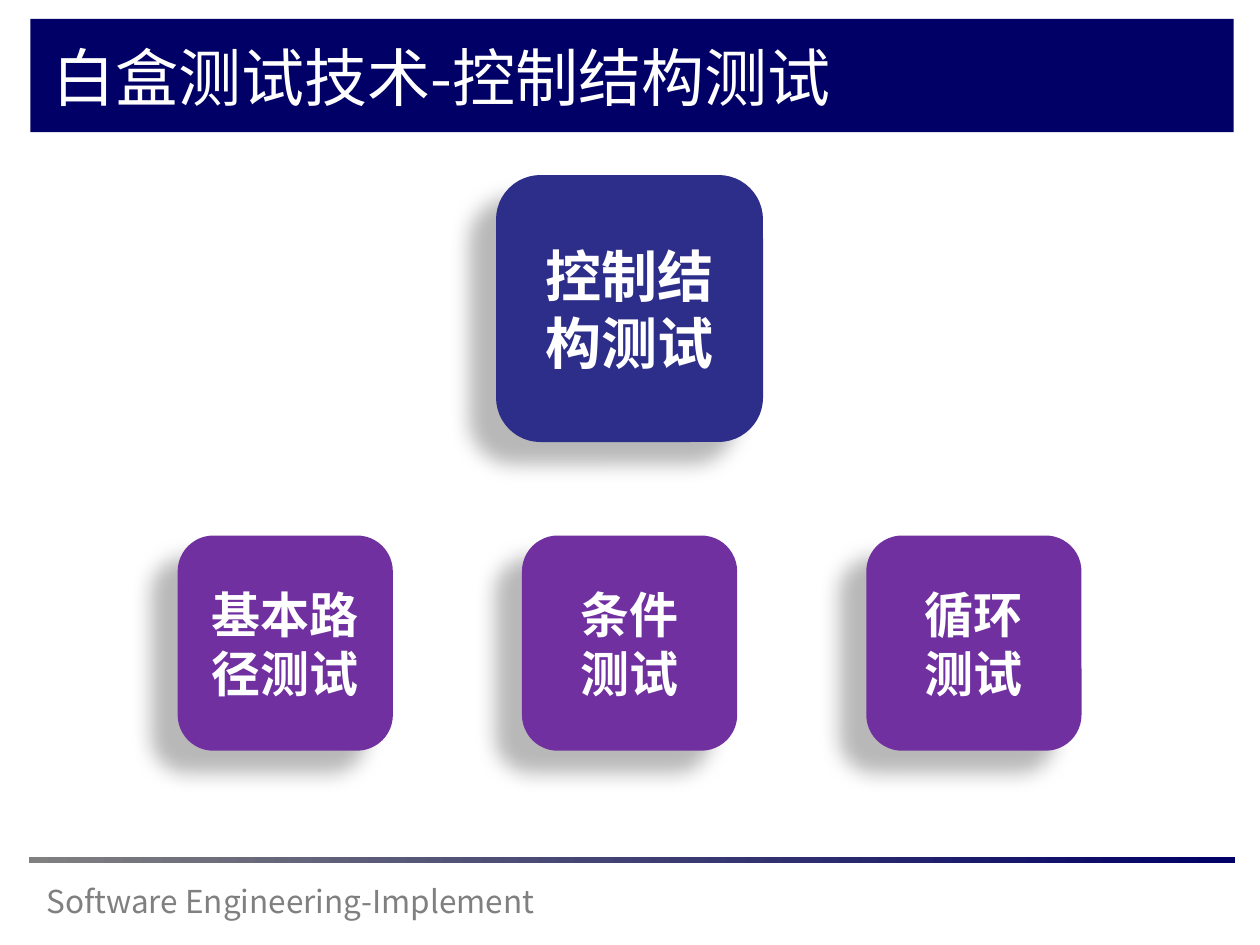
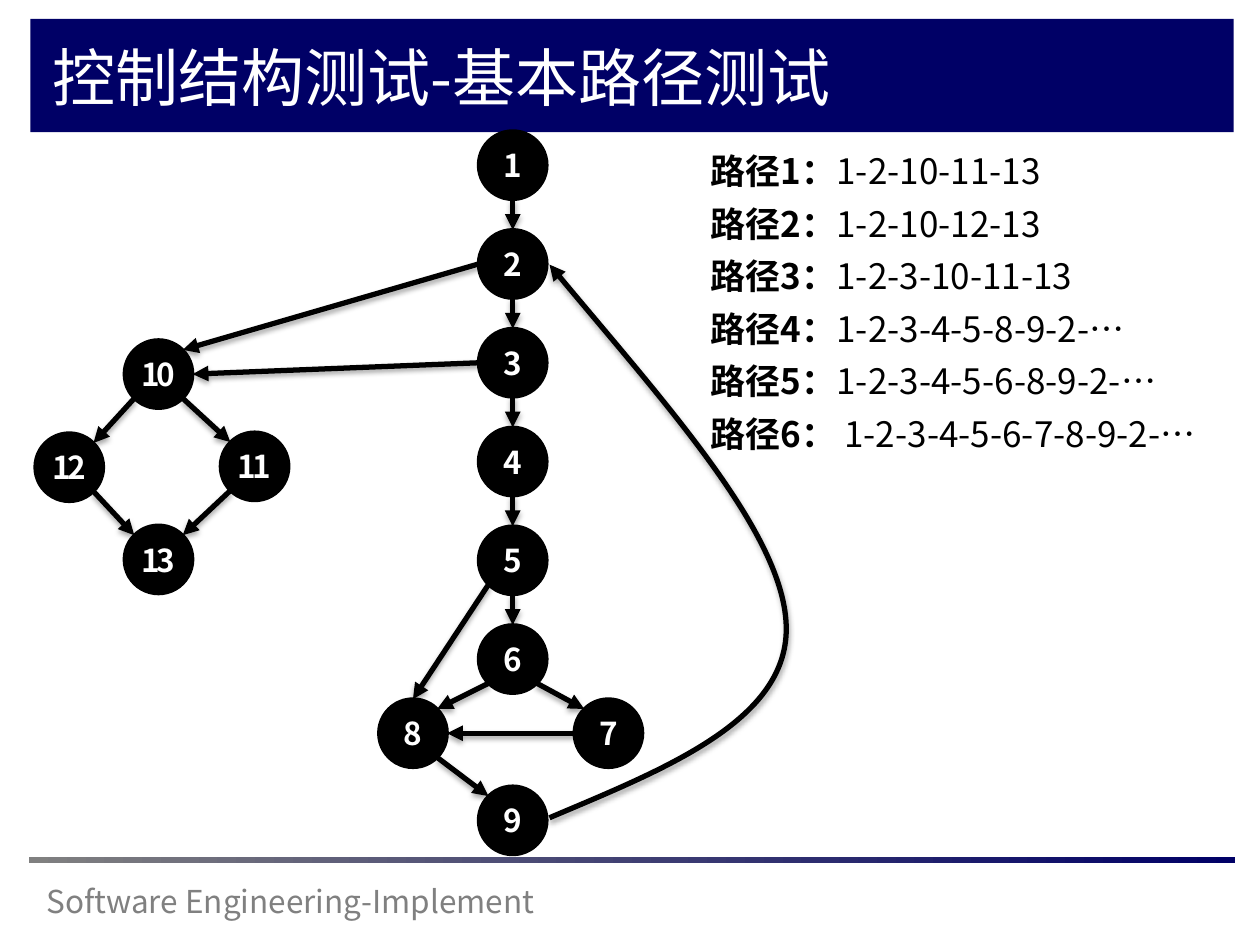
from lxml import etree
from pptx import Presentation
from pptx.dml.color import RGBColor
from pptx.enum.shapes import MSO_CONNECTOR, MSO_SHAPE
from pptx.enum.text import MSO_ANCHOR, PP_ALIGN
from pptx.oxml.ns import qn
from pptx.util import Pt

RECT, ROUND, OVAL = MSO_SHAPE.RECTANGLE, MSO_SHAPE.ROUNDED_RECTANGLE, MSO_SHAPE.OVAL
LINE = MSO_CONNECTOR.STRAIGHT
LEFT, CENTER = PP_ALIGN.LEFT, PP_ALIGN.CENTER
TOP, MIDDLE = MSO_ANCHOR.TOP, MSO_ANCHOR.MIDDLE

NAVY = RGBColor(0x00, 0x00, 0x66)
INDIGO = RGBColor(0x2D, 0x2D, 0x8A)
PURPLE = RGBColor(0x70, 0x30, 0xA0)
GRAY = RGBColor(0x80, 0x80, 0x80)
BLACK = RGBColor(0, 0, 0)
WHITE = RGBColor(0xFF, 0xFF, 0xFF)

FONT = "Noto Sans CJK SC"
# Opacity %, blur, distance, direction in degrees
TILE_SHADE = (28, 11.8, 19.7, 141)
EDGE_SHADE = (35, 3.1, 1.8, 90)

NODE = 39
STEM = 273
CENTERS = {i + 1: (STEM, 19.4 + 56.45 * i) for i in range(6)}
CENTERS |= {
    7: (327.7, 344), 8: (216, 344), 9: (STEM, 393.8),
    10: (70.6, 138.8), 11: (125.5, 191.5), 12: (19.6, 192), 13: (70.6, 244.7),
}
SIDES = {
    "n": (0, -1), "s": (0, 1), "w": (-1, 0), "e": (1, 0),
    "nw": (-0.71, -0.71), "ne": (0.71, -0.71),
    "sw": (-0.71, 0.71), "se": (0.71, 0.71),
}
EDGES = [(i, "s", i + 1, "n") for i in range(1, 6)] + [
    (10, "sw", 12, "ne"), (10, "se", 11, "nw"),
    (12, "se", 13, "nw"), (11, "sw", 13, "ne"),
    (2, "w", 10, "ne"), (3, "w", 10, "e"),
    (5, "sw", 8, "n"), (6, "sw", 8, "ne"), (6, "se", 7, "nw"),
    (7, "w", 8, "e"), (8, "se", 9, "nw"),
]
# Start point, then two cubic segments from node 9 back to node 2
LOOP = [
    (294, 392.3), (358.4, 365), (429.3, 337.6), (429.3, 284.4),
    (429.3, 231.7), (358.6, 154), (294, 76.2),
]
ROUTES = [
    "1-2-10-11-13", "1-2-10-12-13", "1-2-3-10-11-13", "1-2-3-4-5-8-9-2-…",
    "1-2-3-4-5-6-8-9-2-…", " 1-2-3-4-5-6-7-8-9-2-…",
]


def write(shape, paras, size, color, bold=False, align=LEFT, anchor=TOP,
          after=None, track=None, inset=None):
    """Fill a shape; each paragraph is a string or a list of (text, bold)."""
    frame = shape.text_frame
    frame.word_wrap = True
    frame.vertical_anchor = anchor
    if inset is not None:
        frame.margin_left = frame.margin_right = Pt(inset)
        frame.margin_top = frame.margin_bottom = Pt(inset)
    for i, parts in enumerate(paras):
        para = frame.add_paragraph() if i else frame.paragraphs[0]
        para.alignment = align
        if after is not None:
            para.space_after = Pt(after)
        for text, heavy in [(parts, bold)] if isinstance(parts, str) else parts:
            run = para.add_run()
            run.text = text
            font = run.font
            font.name, font.size, font.bold = FONT, Pt(size), heavy
            font.color.rgb = color
            props = run._r.get_or_add_rPr()
            etree.SubElement(props, qn("a:ea")).set("typeface", FONT)
            if track is not None:
                props.set("spc", str(track * 100))


def label(slide, box, paras, **style):
    write(slide.shapes.add_textbox(*map(Pt, box)), paras, **style)


def shade(shape, look=None):
    """Set the outer shadow, or none; call after fill and line are set."""
    effects = etree.SubElement(shape._element.spPr, qn("a:effectLst"))
    if look:
        alpha, blur, dist, angle = look
        outer = etree.SubElement(
            effects, qn("a:outerShdw"), blurRad=str(Pt(blur)), dist=str(Pt(dist)),
            dir=str(angle * 60000), algn="ctr", rotWithShape="0")
        tint = etree.SubElement(outer, qn("a:srgbClr"), val=str(BLACK))
        etree.SubElement(tint, qn("a:alpha"), val=str(alpha * 1000))


def block(slide, kind, box, fill=None, edge=None, look=None):
    shape = slide.shapes.add_shape(kind, *map(Pt, box))
    if fill is not None:
        shape.fill.solid()
        shape.fill.fore_color.rgb = fill
    if edge:
        shape.line.color.rgb = fill
        shape.line.width = Pt(edge)
    else:
        shape.line.fill.background()
    shade(shape, look)
    return shape


def arrow(shape):
    """Style a line or open outline as a black arrow."""
    shape.line.color.rgb = BLACK
    shape.line.width = Pt(3)
    etree.SubElement(shape.line._ln, qn("a:tailEnd"), type="triangle")
    shade(shape, EDGE_SHADE)


def base(deck, title):
    """Add a slide with title band, rule and footer."""
    slide = deck.slides.add_slide(deck.slide_layouts[6])
    block(slide, RECT, (17.3, 10.8, 687.6, 64.8), NAVY)
    label(slide, (19.4, 500.4, 372, 28.8), ["Software Engineering-Implement"],
          size=18, color=GRAY)
    rule = block(slide, RECT, (16.6, 489.6, 689, 3.6))
    rule.fill.gradient()
    rule.fill.gradient_angle = 0
    for stop, color, place in zip(rule.fill.gradient_stops, (GRAY, NAVY), (0, 1)):
        stop.color.rgb = color
        stop.position = place
    label(slide, (23, 18.7, 634.3, 53.3), [title], size=36, color=WHITE)
    return slide


def tile(slide, box, paras, fill, size):
    shape = block(slide, ROUND, box, fill, look=TILE_SHADE)
    write(shape, paras, size, WHITE, bold=True, align=CENTER, anchor=MIDDLE)


def tree(slide, box):
    """Root tile centred above an evenly spread row of tiles."""
    left, top, width, height = box
    root, leaf = 152.6, 123
    names = [["基本路径测试"], ["条件", "测试"], ["循环", "测试"]]
    step = (width - leaf) / (len(names) - 1)
    for i, name in enumerate(names):
        tile(slide, (left + i * step, top + height - leaf, leaf, leaf),
             name, PURPLE, 28)
    tile(slide, (left + (width - root) / 2, top, root, root),
         ["控制结构测试"], INDIGO, 32)


def loop(slide, left, top):
    points = [(Pt(left + x), Pt(top + y)) for x, y in LOOP]
    maker = slide.shapes.build_freeform(*points[0])
    maker.add_line_segments(points[1:], close=False)
    shape = maker.convert_to_shape()
    track = shape._element.find(".//" + qn("a:path"))
    legs = track.findall(qn("a:lnTo"))
    for i in range(0, len(legs), 3):
        curve = etree.SubElement(track, qn("a:cubicBezTo"))
        for leg in legs[i:i + 3]:
            curve.append(leg[0])
            track.remove(leg)
    shape.fill.background()
    arrow(shape)


def graph(slide, left, top):
    """Control flow graph with numbered nodes."""
    def port(node, side):
        (x, y), (dx, dy) = CENTERS[node], SIDES[side]
        return Pt(left + x + dx * NODE / 2), Pt(top + y + dy * NODE / 2)

    for num, (x, y) in CENTERS.items():
        box = (left + x - NODE / 2, top + y - NODE / 2, NODE, NODE)
        write(block(slide, OVAL, box, BLACK, edge=2), [str(num)], 18, WHITE,
              bold=True, align=CENTER, anchor=MIDDLE, track=-2, inset=0)
    for start, out, end, into in EDGES:
        arrow(slide.shapes.add_connector(LINE, *port(start, out), *port(end, into)))
    loop(slide, left, top)


def routes(slide, box):
    paras = [[(f"路径{i}：", True), (route, False)]
             for i, route in enumerate(ROUTES, 1)]
    label(slide, box, paras, size=20, color=BLACK, after=6)


def main():
    deck = Presentation()
    deck.slide_width, deck.slide_height = Pt(720), Pt(540)
    tree(base(deck, "白盒测试技术-控制结构测试"), (101.5, 100, 516.5, 329))
    slide = base(deck, "控制结构测试-基本路径测试")
    graph(slide, 20, 75)
    routes(slide, (399, 82, 315.4, 183))
    deck.save("out.pptx")


if __name__ == "__main__":
    main()
